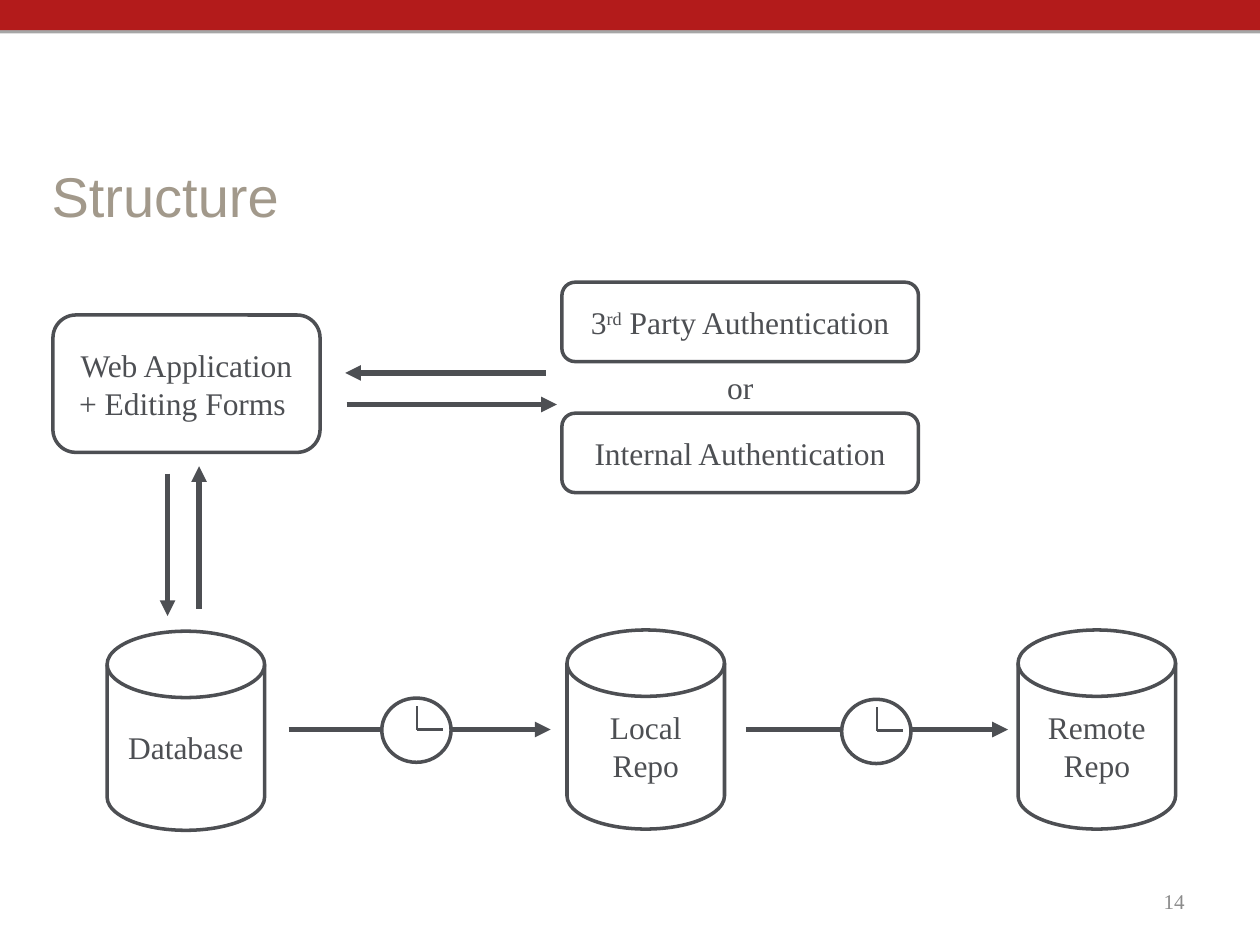
import pptx
import pptx.util
import pptx.dml.color
import pptx.enum.shapes
import pptx.enum.text
import pptx.oxml
import pptx.oxml.ns
import lxml.etree

Inches = pptx.util.Inches
Pt = pptx.util.Pt
RGBColor = pptx.dml.color.RGBColor
SHAPE = pptx.enum.shapes.MSO_SHAPE
ALIGN = pptx.enum.text.PP_ALIGN
ANCHOR = pptx.enum.text.MSO_ANCHOR
qn = pptx.oxml.ns.qn

RED = RGBColor(0xB3, 0x1B, 0x1B)
TAN = RGBColor(0xA2, 0x99, 0x8B)
SLATE = RGBColor(0x4D, 0x4F, 0x53)
GRAY = RGBColor(0x8B, 0x8B, 0x8B)
WHITE = RGBColor(0xFF, 0xFF, 0xFF)
SERIF = "Times New Roman"

BAR_SHADOW = (
    '<a:effectLst xmlns:a="http://schemas.openxmlformats.org/drawingml/2006/main">'
    '<a:outerShdw blurRad="0" dist="22860" dir="5400000" rotWithShape="0">'
    '<a:srgbClr val="000000"><a:alpha val="35000"/></a:srgbClr>'
    '</a:outerShdw></a:effectLst>'
)


class Diagram:
    def __init__(self, s):
        self.s = s

    def add_text(self, tf, lines, size=18, color=SLATE, font=SERIF, align=ALIGN.CENTER):
        tf.word_wrap = True
        for i, runs in enumerate(lines):
            p = tf.add_paragraph() if i else tf.paragraphs[0]
            p.alignment = align
            for text, baseline in runs:
                r = p.add_run()
                r.text = text
                r.font.size = Pt(size)
                r.font.name = font
                r.font.color.rgb = color
                if baseline:
                    r.font._element.set("baseline", str(baseline * 1000))

    def title(self, text, x, y, w, h):
        sp = self.s.shapes.title
        sp.left, sp.top, sp.width, sp.height = map(Inches, (x, y, w, h))
        sp.text_frame.vertical_anchor = ANCHOR.MIDDLE
        self.add_text(sp.text_frame, [[(text, 0)]], 32, TAN, "Arial", ALIGN.LEFT)

    def bar(self, x, y, w, h):
        sp = self.s.shapes.add_shape(SHAPE.RECTANGLE, *map(Inches, (x, y, w, h)))
        sp.fill.solid()
        sp.fill.fore_color.rgb = RED
        sp.line.fill.background()
        sp._element.spPr.append(pptx.oxml.parse_xml(BAR_SHADOW))

    def node(self, kind, x, y, w, h, lines=(), parent=None):
        shapes = (parent or self.s).shapes
        sp = shapes.add_shape(kind, *map(Inches, (x, y, w, h)))
        sp.shadow.inherit = False
        sp.fill.solid()
        sp.fill.fore_color.rgb = WHITE
        sp.line.color.rgb = SLATE
        sp.line.width = Pt(2)
        sp.text_frame.vertical_anchor = ANCHOR.MIDDLE
        self.add_text(sp.text_frame, lines)

    def label(self, text, x, y, w, h, anchor=ANCHOR.TOP, **style):
        tf = self.s.shapes.add_textbox(*map(Inches, (x, y, w, h))).text_frame
        tf.vertical_anchor = anchor
        self.add_text(tf, [[(text, 0)]], **style)

    def line(self, x1, y1, x2, y2, width=3, arrow=True, parent=None):
        c = (parent or self.s).shapes.add_connector(
            pptx.enum.shapes.MSO_CONNECTOR.STRAIGHT, *map(Inches, (x1, y1, x2, y2)))
        c.line.color.rgb = SLATE
        c.line.width = Pt(width)
        if arrow:
            ln = c._element.spPr.find(qn("a:ln"))
            lxml.etree.SubElement(ln, qn("a:tailEnd"), type="triangle")
        lxml.etree.SubElement(c._element.spPr, qn("a:effectLst"))

    def clock(self, x, y):
        g = self.s.shapes.add_group_shape()
        self.node(SHAPE.OVAL, x, y, 0.55, 0.51, parent=g)
        cx, cy = x + 0.28, y + 0.25
        for dx, dy in ((0.21, 0), (0, -0.19)):
            self.line(cx, cy, cx + dx, cy + dy, 1.5, False, g)


def main():
    prs = pptx.Presentation()
    prs.slide_width, prs.slide_height = Inches(10), Inches(7.5)
    d = Diagram(prs.slides.add_slide(prs.slide_layouts[5]))

    d.bar(0, 0, 10, 0.24)
    d.title("Structure", 0.31, 1.17, 9.49, 0.75)

    for x, y, lines in (
        (8.08, 5, [[("Remote Repo", 0)]]),
        (4.5, 5, [[("Local", 0)], [("Repo", 0)]]),
        (0.85, 5.01, [[("Database", 0)]]),
    ):
        d.node(SHAPE.FLOWCHART_MAGNETIC_DISK, x, y, 1.25, 1.58, lines)

    for x, y, w, h, runs in (
        (0.42, 2.5, 2.12, 1.09, [("Web Application + Editing Forms ", 0)]),
        (4.46, 2.24, 2.83, 0.63, [("3", 0), ("rd", 30), (" Party Authentication", 0)]),
        (4.46, 3.28, 2.83, 0.63, [("Internal Authentication", 0)]),
    ):
        d.node(SHAPE.ROUNDED_RECTANGLE, x, y, w, h, [runs])

    for ends in (
        (5.92, 5.79, 8, 5.79),
        (2.29, 5.79, 4.37, 5.79),
        (1.33, 3.76, 1.33, 4.89),
        (1.58, 4.83, 1.58, 3.7),
        (2.75, 3.21, 4.42, 3.21),
        (4.33, 2.96, 2.74, 2.96),
    ):
        d.line(*ends)

    d.label("or", 4.46, 2.87, 2.83, 0.4)
    d.label("14", 7.17, 6.95, 2.33, 0.4, ANCHOR.MIDDLE,
            size=12, color=GRAY, align=ALIGN.RIGHT)

    d.clock(3.03, 5.54)
    d.clock(6.68, 5.55)

    prs.save("out.pptx")


if __name__ == "__main__":
    main()
